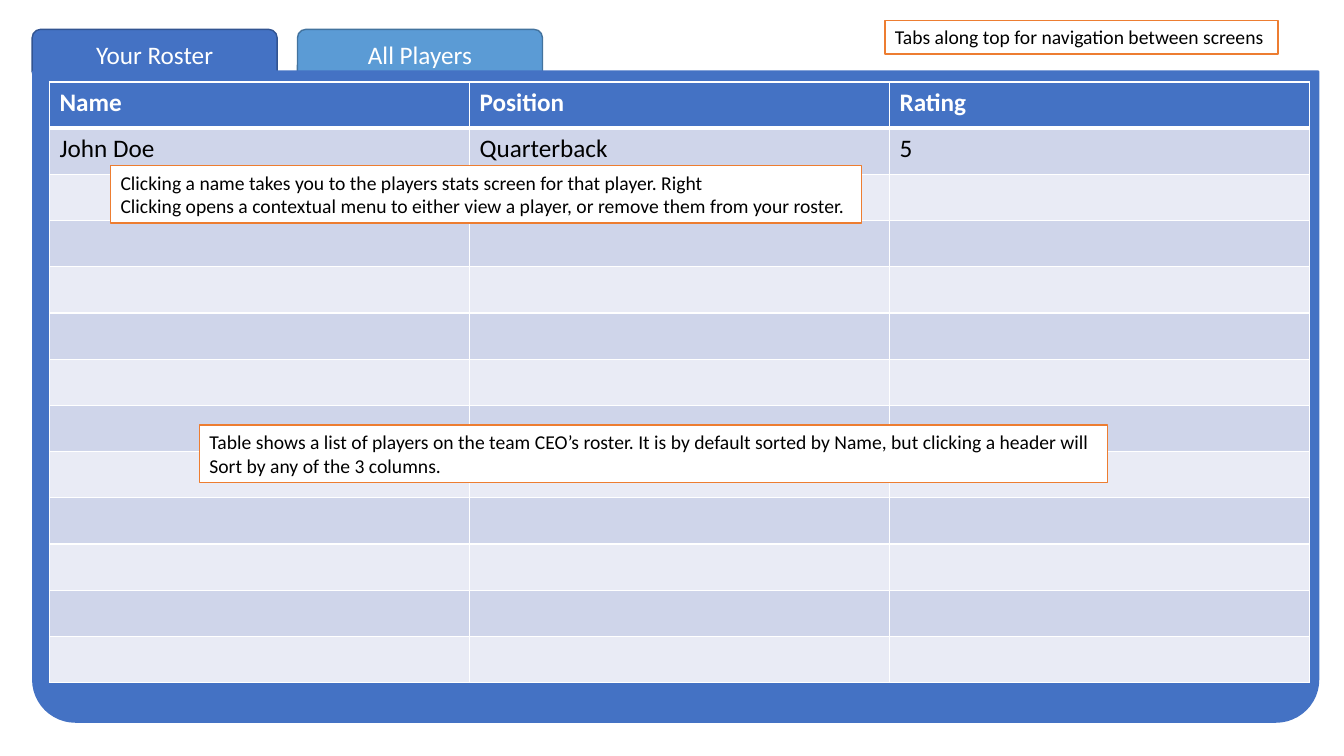
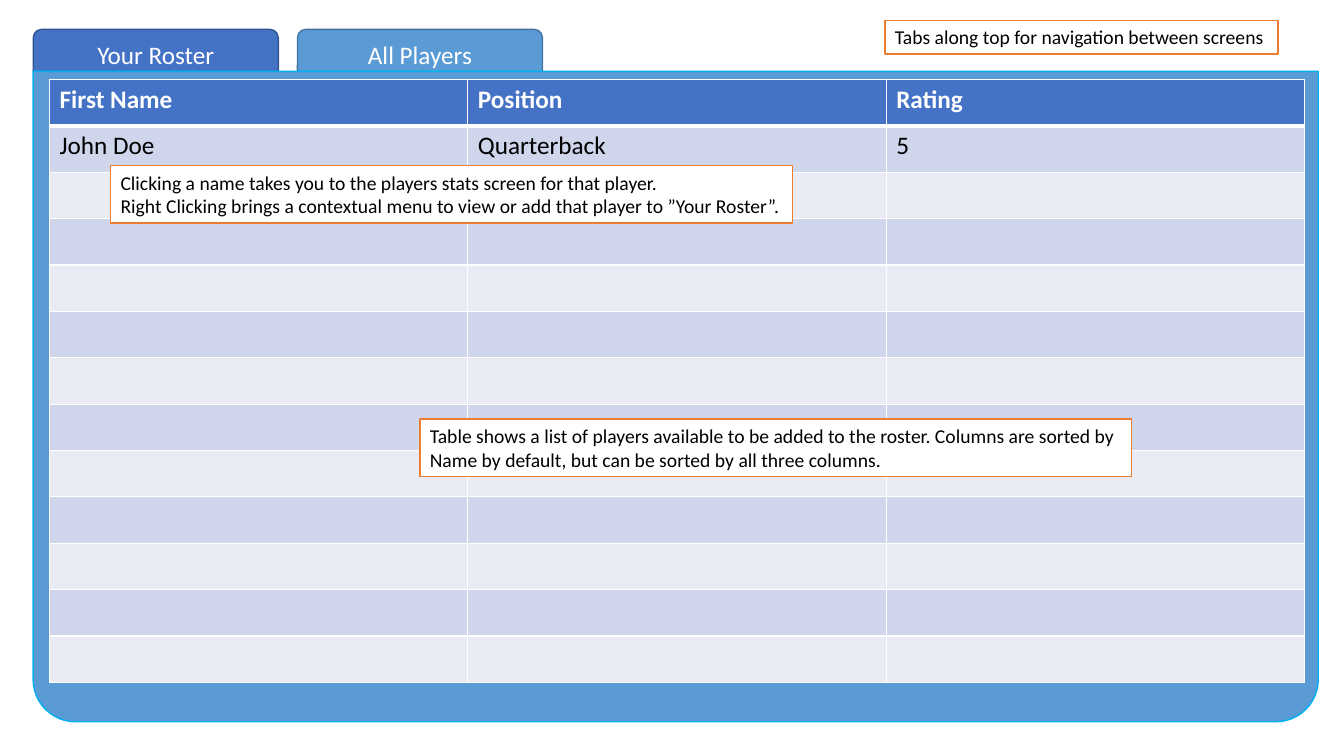
from lxml import etree
from pptx import Presentation
from pptx.dml.color import RGBColor
from pptx.enum.shapes import MSO_SHAPE
from pptx.enum.text import MSO_ANCHOR, MSO_AUTO_SIZE, PP_ALIGN
from pptx.oxml.ns import qn
from pptx.util import Pt

RECT = MSO_SHAPE.RECTANGLE
TAB = MSO_SHAPE.ROUNDED_RECTANGLE
PANEL = MSO_SHAPE.ROUND_2_SAME_RECTANGLE
LEFT, CENTER = PP_ALIGN.LEFT, PP_ALIGN.CENTER
TOP, MIDDLE = MSO_ANCHOR.TOP, MSO_ANCHOR.MIDDLE
GROW = MSO_AUTO_SIZE.SHAPE_TO_FIT_TEXT

FONT = "Calibri"
WHITE, BLACK = "FFFFFF", "000000"
BLUE, NAVY = "4472C4", "325491"
SKY, STEEL, CYAN = "5B9BD5", "43739E", "00B0F0"
ORANGE = "ED7D31"
BANDS = ["CFD5EA", "E9EBF5"]
ROWS, COLS = 13, 3
PLAYER = ["John Doe", "Quarterback", "5"]


def color(code):
    return RGBColor.from_string(code)


def write(frame, lines, size, ink, align=LEFT, bold=False):
    for i, line in enumerate(lines):
        para = frame.add_paragraph() if i else frame.paragraphs[0]
        para.alignment = align
        run = para.add_run()
        run.text = line
        font = run.font
        font.name, font.size, font.bold = FONT, Pt(size), bold
        font.color.rgb = color(ink)


def block(slide, kind, box, fill, line, width=1):
    shape = slide.shapes.add_shape(kind, *map(Pt, box))
    shape.shadow.inherit = False
    shape.fill.solid()
    shape.fill.fore_color.rgb = color(fill)
    shape.line.color.rgb = color(line)
    shape.line.width = Pt(width)
    return shape


def tab(slide, box, label, fill, line):
    frame = block(slide, TAB, box, fill, line).text_frame
    frame.vertical_anchor = MIDDLE
    write(frame, [label], 18, WHITE, CENTER)


def panel(slide, box, fill, line, width):
    shape = block(slide, PANEL, box, fill, line, width)
    shape.adjustments[0] = 0.065
    shape.adjustments[1] = 0
    shape.rotation = 180


def note(slide, box, lines):
    frame = block(slide, RECT, box, WHITE, ORANGE).text_frame
    frame.vertical_anchor = TOP
    frame.word_wrap = False
    frame.auto_size = GROW
    write(frame, lines, 14, BLACK)


def edge(cell, widths):
    # Border lines come before the fill in the cell properties
    props = cell._tc.get_or_add_tcPr()
    for i, side in enumerate("LRTB"):
        line = etree.Element(qn("a:ln" + side), w=str(Pt(widths.get(side, 1))))
        fill = etree.SubElement(line, qn("a:solidFill"))
        etree.SubElement(fill, qn("a:srgbClr"), val=WHITE)
        props.insert(i, line)


def roster(slide, box, heads):
    table = slide.shapes.add_table(ROWS, COLS, *map(Pt, box)).table
    for col in table.columns:
        col.width = Pt(box[2] / COLS)
    for r, row in enumerate(table.rows):
        row.height = Pt(box[3] / ROWS)
        words = heads if r == 0 else PLAYER if r == 1 else []
        for c, cell in enumerate(row.cells):
            cell.fill.solid()
            cell.fill.fore_color.rgb = color(BANDS[(r - 1) % 2] if r else BLUE)
            edge(cell, {0: {"B": 3}, 1: {"T": 3}}.get(r, {}))
            if words:
                ink = BLACK if r else WHITE
                write(cell.text_frame, [words[c]], 18, ink, bold=r == 0)


def screen(deck, left, frame, grid, heads, notes):
    slide = deck.slides.add_slide(deck.slide_layouts[6])
    # Tabs, with the panel covering their lower edge
    tab(slide, (left, 21, 175, 36), "Your Roster", BLUE, NAVY)
    tab(slide, (212.5, 21, 175, 36), "All Players", SKY, STEEL)
    panel(slide, (23.6, 51, 918, 464.5), *frame)
    # Player table
    roster(slide, grid, heads)
    # Notes on how the screen works
    note(slide, (632.2, 14.5, 280.8, 24.2),
         ["Tabs along top for navigation between screens"])
    for box, lines in notes:
        note(slide, box, lines)


deck = Presentation()
deck.slide_width, deck.slide_height = Pt(960), Pt(540)

screen(deck, 23, (BLUE, BLUE, 1.5), (35.4, 58.6, 900, 429),
       ["Name", "Position", "Rating"], [
    ((79, 118.2, 536.5, 41.2), [
        "Clicking a name takes you to the players stats screen for that player. Right",
        "Clicking opens a contextual menu to either view a player, or remove them "
        "from your roster."]),
    ((142.5, 303.6, 648.6, 41.2), [
        "Table shows a list of players on the team CEO’s roster. It is by default "
        "sorted by Name, but clicking a header will",
        "Sort by any of the 3 columns."])])

screen(deck, 23.8, (SKY, CYAN, 1), (35.4, 56.7, 896.4, 431),
       ["First Name", "Position", "Rating"], [
    ((79, 118.2, 487.2, 41.2), [
        "Clicking a name takes you to the players stats screen for that player.",
        "Right Clicking brings a contextual menu to view or add that player to "
        "”Your Roster”."]),
    ((299.9, 299.4, 508.4, 41.2), [
        "Table shows a list of players available to be added to the roster. "
        "Columns are sorted by",
        "Name by default, but can be sorted by all three columns."])])

deck.save("out.pptx")
